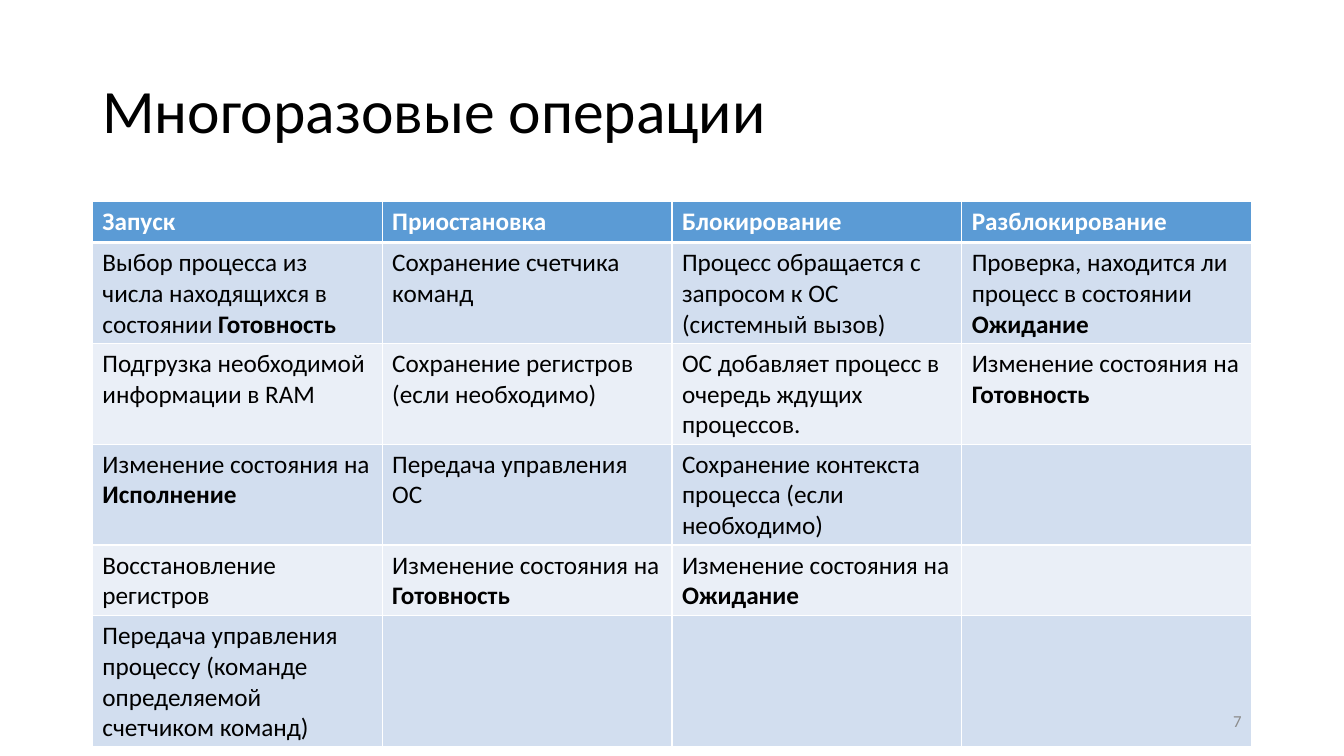
from dataclasses import dataclass

from lxml.etree import SubElement as Sub
from pptx import Presentation
from pptx.dml.color import RGBColor as RGB
from pptx.enum.text import MSO_ANCHOR as Anchor, PP_ALIGN as Align
from pptx.oxml.ns import qn
from pptx.util import Pt


@dataclass(frozen=True)
class Theme:
    font: str = "Calibri"
    ink: str = "000000"
    paper: str = "FFFFFF"
    head: str = "5B9BD5"
    bands: tuple = ("D2DEEF", "EAEFF7")
    muted: str = "8C8C8C"
    title: int = 44
    body: int = 18
    small: int = 12


THEME = Theme()

# Asterisks enclose bold words
ROWS = [
    ["Запуск", "Приостановка", "Блокирование", "Разблокирование"],
    ["Выбор процесса из числа находящихся в состоянии *Готовность*",
     "Сохранение счетчика команд",
     "Процесс обращается с запросом к ОС (системный вызов)",
     "Проверка, находится ли процесс в состоянии *Ожидание*"],
    ["Подгрузка необходимой информации в RAM",
     "Сохранение регистров (если необходимо)",
     "ОС добавляет процесс в очередь ждущих процессов.",
     "Изменение состояния на *Готовность*"],
    ["Изменение состояния на *Исполнение*",
     "Передача управления ОС",
     "Сохранение контекста процесса (если необходимо)", ""],
    ["Восстановление регистров",
     "Изменение состояния на *Готовность*",
     "Изменение состояния на *Ожидание*", ""],
    ["Передача управления процессу (команде определяемой счетчиком команд)",
     "", "", ""],
]


def write(frame, text, size=THEME.body, color=THEME.ink, bold=False,
          align=Align.LEFT, spacing=None):
    """Fill a text frame; parts between asterisks are bold."""
    para = frame.paragraphs[0]
    para.alignment = align
    para.line_spacing = spacing
    para.font.size = Pt(size)
    for i, part in enumerate(text.split("*")):
        if part:
            run = para.add_run()
            run.text = part
            font = run.font
            font.name, font.size = THEME.font, Pt(size)
            font.bold = bold or i % 2 == 1
            font.color.rgb = RGB.from_string(color)


def add_text(slide, text, box, **style):
    frame = slide.shapes.add_textbox(*map(Pt, box)).text_frame
    frame.word_wrap = True
    frame.vertical_anchor = Anchor.MIDDLE
    write(frame, text, **style)


def edge(cell, side, width):
    line = Sub(cell._tc.get_or_add_tcPr(), qn(f"a:ln{side}"), w=str(Pt(width)))
    fill = Sub(line, qn("a:solidFill"))
    Sub(fill, qn("a:srgbClr"), val=THEME.paper)


def add_grid(slide, rows, box):
    grid = slide.shapes.add_table(len(rows), len(rows[0]), *map(Pt, box)).table
    for r, row in enumerate(rows):
        head = r == 0
        shade = THEME.head if head else THEME.bands[(r - 1) % 2]
        for c, text in enumerate(row):
            cell = grid.cell(r, c)
            # Borders come before the fill in the cell properties
            for side in "LRTB":
                thick = (head and side == "B") or (r == 1 and side == "T")
                edge(cell, side, 3 if thick else 1)
            cell.fill.solid()
            cell.fill.fore_color.rgb = RGB.from_string(shade)
            write(cell.text_frame, text, bold=head,
                  color=THEME.paper if head else THEME.ink)


def main():
    deck = Presentation()
    deck.slide_width, deck.slide_height = Pt(960), Pt(540)
    slide = deck.slides.add_slide(deck.slide_layouts[6])

    # Title
    add_text(slide, "Многоразовые операции", (66, 28.75, 828, 104.4),
             size=THEME.title, spacing=0.9)

    # Operations by column; rows grow with their text
    add_grid(slide, ROWS, (66, 144, 828, 29.2 * len(ROWS)))

    # Page number
    add_text(slide, "7", (678, 500.5, 216, 28.75), size=THEME.small,
             color=THEME.muted, align=Align.RIGHT)

    deck.save("out.pptx")


if __name__ == "__main__":
    main()
